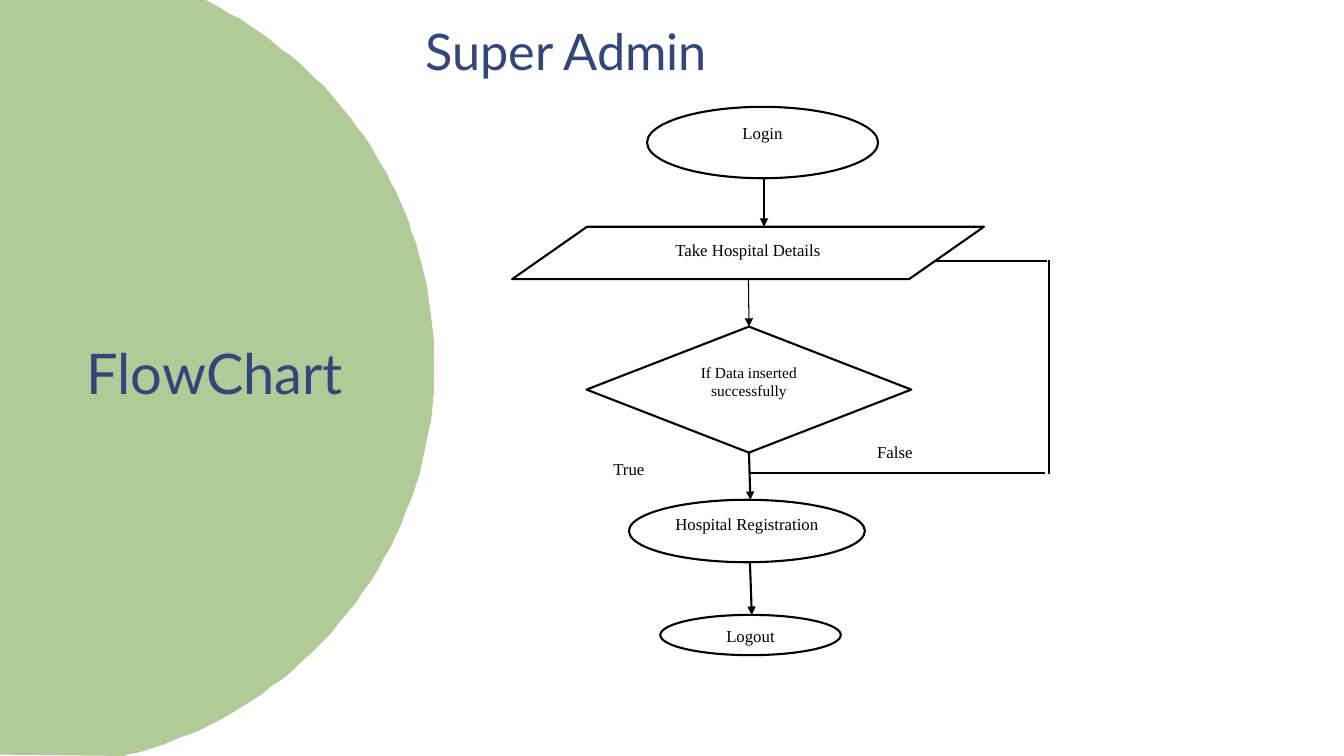
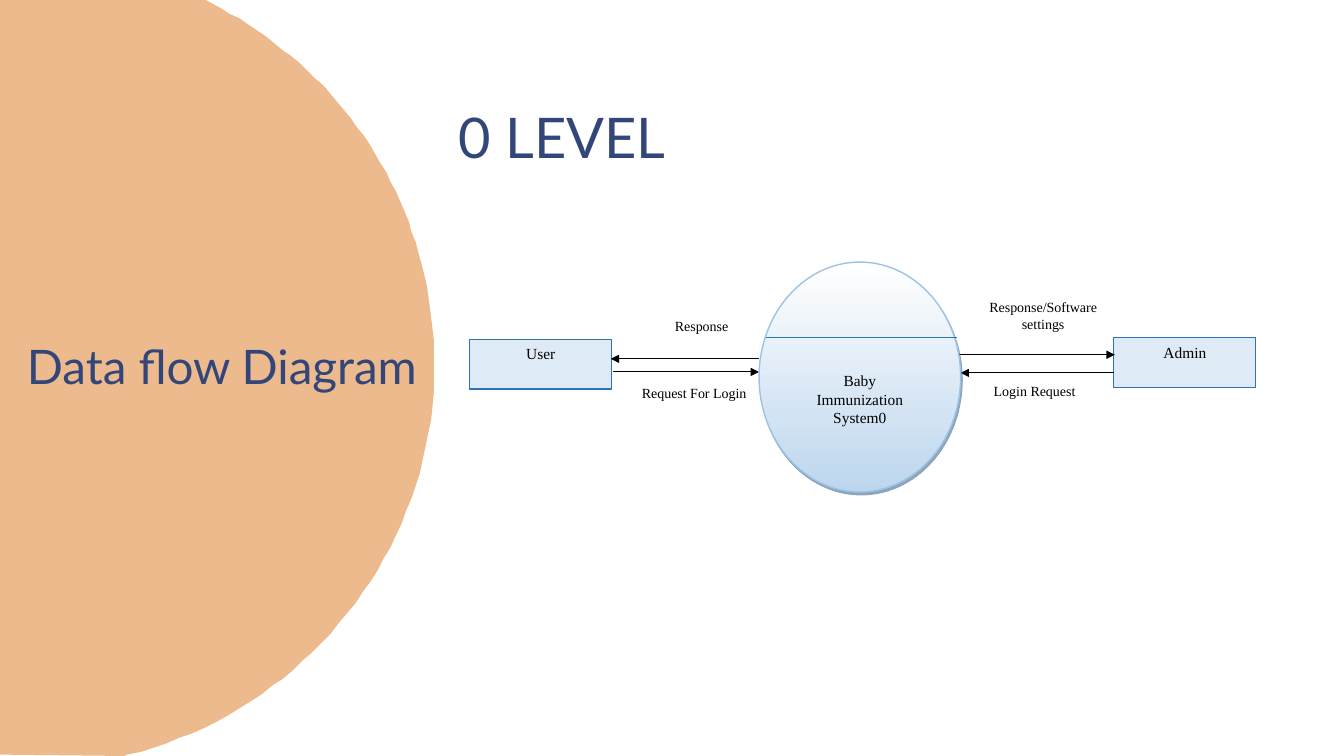
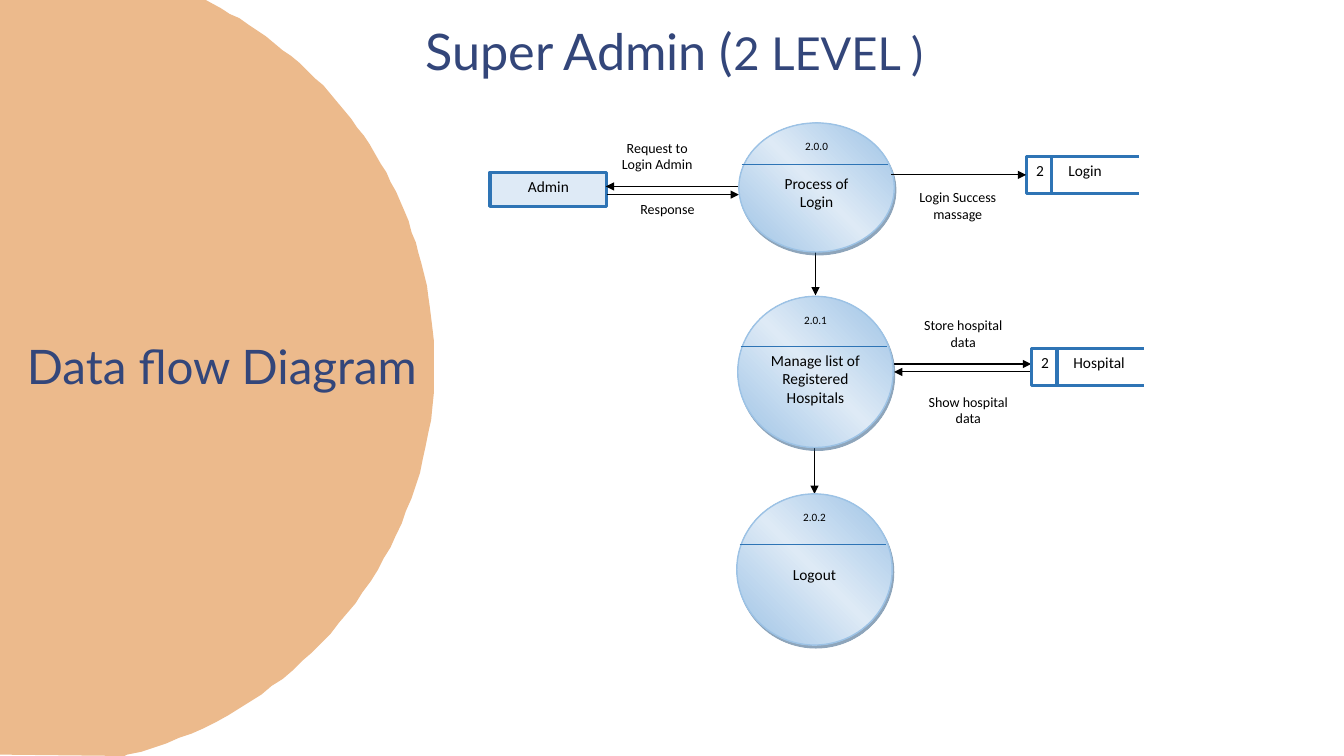
from lxml.etree import SubElement
from pptx import Presentation
from pptx.dml.color import RGBColor
from pptx.enum.shapes import MSO_CONNECTOR, MSO_SHAPE
from pptx.enum.text import MSO_ANCHOR, MSO_AUTO_SIZE, PP_ALIGN
from pptx.oxml.ns import qn
from pptx.util import Pt

NAVY = RGBColor(0x33, 0x46, 0x7A)
GREEN = RGBColor(0xB0, 0xCA, 0x98)
ORANGE = RGBColor(0xEC, 0xBA, 0x8C)
BLACK = RGBColor(0x00, 0x00, 0x00)
WHITE = RGBColor(0xFF, 0xFF, 0xFF)
BLUE = RGBColor(0x2E, 0x74, 0xB5)
SKY = RGBColor(0x9C, 0xC2, 0xE5)
PALE = RGBColor(0xDE, 0xEA, 0xF6)
MIST = RGBColor(0xBD, 0xD6, 0xEE)
SHADE = RGBColor(0x1F, 0x4D, 0x78)

HEADING_FONT = "Lato"
SERIF = "Times New Roman"
SANS = "Calibri"

STYLES = {
    "terminal": {"preset": MSO_SHAPE.OVAL, "line": BLACK, "width": 1.5, "size": 12, "margin": 6},
    "decision": {"preset": MSO_SHAPE.DIAMOND, "line": BLACK, "width": 1.5, "size": 11},
    "input": {"preset": MSO_SHAPE.PARALLELOGRAM, "line": BLACK, "width": 1.5, "size": 12, "slant": 1.43},
    "branch": {"size": 12, "fill": None},
    "label": {"size": 10},
    "left label": {"size": 10, "align": PP_ALIGN.LEFT},
    "thin entity": {"fill": PALE, "line": BLUE, "width": 0.75, "size": 11},
    "entity": {"fill": PALE, "line": BLUE, "width": 1, "size": 11},
    "thick entity": {"fill": PALE, "line": BLUE, "width": 2.25, "size": 11},
    "system": {"preset": MSO_SHAPE.OVAL, "line": SKY, "width": 1, "size": 11, "top": 54,
               "stops": [(0, WHITE), (100, MIST)], "angle": 270},
    "process": {"preset": MSO_SHAPE.OVAL, "line": SKY, "width": 1, "size": 11, "margin": 4,
                "stops": [(0, SKY), (50, PALE), (100, SKY)], "angle": 45},
    "number": {"size": 8, "fill": None},
    "store": {"preset": MSO_SHAPE.FLOWCHART_PROCESS, "line": BLUE, "width": 2.25, "size": 11,
              "align": PP_ALIGN.LEFT, "tab": 23},
    "store end": {"preset": MSO_SHAPE.FLOWCHART_PROCESS},
}

LINES = {
    "flow arrow": (BLACK, 1.5, True),
    "flow line": (BLACK, 1.5, False),
    "arrow": (BLACK, 0.75, True),
    "divider": (BLUE, 0.75, False),
    "store divider": (BLUE, 2.25, False),
}

FLOWCHART = [
    ("terminal", "Login", (462.2, 76.3, 165, 51)),
    ("flow arrow", (545.8, 127.4, 545.8, 162)),
    ("terminal", "Hospital Registration", (449.3, 357, 168.5, 44.6)),
    ("terminal", "Logout", (471.6, 439.2, 129, 28.8)),
    ("flow arrow", (535.7, 401.8, 537, 439.2)),
    ("decision", "If Data inserted successfully", (419, 233.3, 232, 90)),
    ("flow arrow", (535, 323.3, 536, 357), ("If Data inserted successfully", 2), None),
    ("flow arrow", (748, 186.5, 648.7, 186.5)),
    ("flow line", (535.7, 337.7, 746.6, 337.7)),
    ("flow line", (749.5, 185.8, 749.5, 338.4)),
    ("branch", "True", (419, 324, 60.5, 18.7)),
    ("label", "", None),
    ("arrow", (534.6, 198, 535, 233.3), None, ("If Data inserted successfully", 0)),
    ("input", "Take Hospital Details", (365.8, 162, 337, 37.4)),
]
FLOWCHART[11] = ("branch", "False", (609, 311.8, 60.5, 18.7))

LEVEL_0 = [
    ("label", "Response/Software settings", (689, 209.5, 112.3, 49)),
    ("label", "Login Request", (689, 270, 100, 34.6)),
    ("thin entity", "Admin", (795.6, 241.2, 101.5, 35.3)),
    ("entity", "User", (335.5, 242.6, 101.5, 35.3)),
    ("arrow", (542.2, 256.3, 436.3, 256.3)),
    ("arrow", (437.8, 265.7, 542.2, 265.7)),
    ("arrow", (795.6, 266.4, 686.2, 266.4)),
    ("left label", "Request For Login", (451.4, 271.4, 102.2, 33)),
    ("label", "Response", (449.3, 223.2, 103.7, 30.2)),
    ("arrow", (683.3, 253.4, 796.3, 253.4)),
    ("system", "Baby Immunization System0", (542.2, 187.2, 144, 164.2)),
    ("divider", (547.2, 241.2, 683.3, 241.2)),
]

LEVEL_2 = [
    ("arrow", (582.5, 179.3, 582.5, 211)),
    ("arrow", (638.6, 260, 736.6, 260)),
    ("label", "Request to Login Admin", (432.7, 95.8, 73.4, 34.6)),
    ("thick entity", "Admin", (350, 123, 83.5, 24.5)),
    ("arrow", (527.8, 133.2, 432.7, 133.2)),
    ("arrow", (433.4, 139, 527.8, 139)),
    ("label", "Login Success massage", (646.6, 131, 75, 33.8)),
    ("arrow", (736.6, 265.7, 638.6, 265.7)),
    ("label", "Store hospital data", (646.6, 222.5, 82.8, 31.7)),
    ("label", "Show hospital data", (650.2, 277.2, 82.8, 31.7)),
    ("label", "Response", (441.4, 139.7, 70.6, 23)),
    ("arrow", (581.8, 309, 581.8, 352.8)),
    ("process", "Process of\nLogin", (527.8, 87.8, 111, 92.2), "2.0.0", 30, 23),
    ("process", "Manage list of Registered Hospitals", (527, 211.7, 111, 108), "2.0.1", 36, 23),
    ("process", "Logout", (526.3, 352.8, 111, 108), "2.0.2", 36, 35),
    ("store", "2\tLogin", (733, 111.6, 85, 26.6)),
    ("store", "2\tHospital", (736.6, 249, 85, 26.6)),
    ("arrow", (636.5, 124.9, 733, 124.9), None, ("2\tLogin", 1)),
]

DATA_FLOW = ("Data flow Diagram", (12.2, 244.8, 312.5, 51), 34, 0.8)
SLIDES = [
    {"title": [("Super Admin", 36)], "title_box": (296.6, 13, 252.7, 51), "band": GREEN,
     "side": ("FlowChart", (54.7, 243.4, 238.3, 51), 40, 0.9), "font": SERIF, "parts": FLOWCHART},
    {"title": [("0 LEVEL", 40)], "title_box": (320.4, 74.9, 565.2, 51), "band": ORANGE,
     "side": DATA_FLOW, "font": SERIF, "parts": LEVEL_0},
    {"title": [("Super Admin (", 36), ("2 LEVEL )", 32.4)], "title_box": (296.6, 13, 565.2, 51),
     "band": ORANGE, "side": DATA_FLOW, "font": SANS, "parts": LEVEL_2},
]

BAND_EDGE = [(147, 0), (-4.3, 0), (-6.5, 538.6), (89.3, 540)]
BAND_CURVES = [
    ((91.4, 539.3), (217.4, 507.6), (310.3, 394.6), (310.3, 260)),
    ((310.3, 260), (310.3, 149.8), (248.4, 54.7), (157.7, 5.8)),
]
CURVE_STEPS = 40


def set_all(target, values):
    for name, value in values.items():
        setattr(target, name, value)


def place(shape, box):
    set_all(shape, dict(zip(("left", "top", "width", "height"), map(Pt, box))))


def add_run(paragraph, text, size, font, color):
    run = paragraph.add_run()
    run.text = text
    set_all(run.font, {"name": font, "size": Pt(size)})
    run.font.color.rgb = color


def write_heading(shape, runs, spacing, anchor):
    frame = shape.text_frame
    set_all(frame, {"word_wrap": True, "auto_size": MSO_AUTO_SIZE.NONE, "vertical_anchor": anchor})
    paragraph = frame.paragraphs[0]
    set_all(paragraph, {"alignment": PP_ALIGN.LEFT, "line_spacing": spacing})
    for text, size in runs:
        add_run(paragraph, text, size, HEADING_FONT, NAVY)


def curve_point(points, t):
    weights = ((1 - t) ** 3, 3 * t * (1 - t) ** 2, 3 * t * t * (1 - t), t ** 3)
    return tuple(sum(w * p[axis] for w, p in zip(weights, points)) for axis in (0, 1))


def draw_band(slide, color):
    outline = BAND_EDGE + [curve_point(curve, step / CURVE_STEPS)
                           for curve in BAND_CURVES for step in range(CURVE_STEPS + 1)]
    builder = slide.shapes.build_freeform(*outline[0], scale=Pt(1))
    builder.add_line_segments(outline[1:], close=True)
    band = builder.convert_to_shape()
    band.shadow.inherit = False
    band.fill.solid()
    band.fill.fore_color.rgb = color
    band.line.fill.background()


def add_color(parent, color):
    return SubElement(parent, qn("a:srgbClr"), val=str(color))


def shade_bubble(shape, stops, angle):
    shape.fill.gradient()
    shape.fill.gradient_angle = angle
    properties = shape._element.spPr
    stop_list = properties.find(".//" + qn("a:gsLst"))
    for stop in list(stop_list):
        stop_list.remove(stop)
    for position, color in stops:
        add_color(SubElement(stop_list, qn("a:gs"), pos=str(position * 1000)), color)
    shadow = SubElement(properties.find(qn("a:effectLst")), qn("a:outerShdw"),
                        dist=str(Pt(2.2)), dir="3780000", algn="ctr", rotWithShape="0")
    SubElement(add_color(shadow, SHADE), qn("a:alpha"), val="50000")


def draw_node(slide, kind, text, box, font, top=None):
    style = STYLES[kind]
    shape = slide.shapes.add_shape(style.get("preset", MSO_SHAPE.RECTANGLE), *map(Pt, box))
    if "slant" in style:
        shape.adjustments[0] = style["slant"]
    if "line" in style:
        shape.line.color.rgb = style["line"]
        shape.line.width = Pt(style["width"])
    else:
        shape.line.fill.background()
    shape.shadow.inherit = False
    fill = style.get("fill", WHITE)
    if "stops" in style:
        shade_bubble(shape, style["stops"], style["angle"])
    elif fill is None:
        shape.fill.background()
    else:
        shape.fill.solid()
        shape.fill.fore_color.rgb = fill
    if not text:
        return shape
    frame = shape.text_frame
    margin = Pt(style.get("margin", 7.2))
    set_all(frame, {"word_wrap": True, "vertical_anchor": MSO_ANCHOR.TOP,
                    "margin_left": margin, "margin_right": margin,
                    "margin_top": Pt(top or style.get("top", 3.6))})
    for index, line in enumerate(text.split("\n")):
        paragraph = frame.add_paragraph() if index else frame.paragraphs[0]
        paragraph.alignment = style.get("align", PP_ALIGN.CENTER)
        if "tab" in style:
            tabs = SubElement(paragraph._p.get_or_add_pPr(), qn("a:tabLst"))
            SubElement(tabs, qn("a:tab"), pos=str(Pt(style["tab"])), algn="l")
        add_run(paragraph, line, style["size"], font, BLACK)
    return shape


def draw_line(slide, kind, ends, nodes, begin=None, end=None):
    color, width, arrow = LINES[kind]
    connector = slide.shapes.add_connector(MSO_CONNECTOR.STRAIGHT, *map(Pt, ends))
    connector.line.color.rgb = color
    connector.line.width = Pt(width)
    properties = connector._element.spPr
    if arrow:
        SubElement(properties.find(qn("a:ln")), qn("a:tailEnd"), type="triangle")
    SubElement(properties, qn("a:effectLst"))
    if begin:
        connector.begin_connect(nodes[begin[0]], begin[1])
    if end:
        connector.end_connect(nodes[end[0]], end[1])


def draw_parts(slide, parts, font):
    nodes = {}
    for kind, *values in parts:
        if kind in LINES:
            ends, *joins = values
            draw_line(slide, kind, ends, nodes, *joins)
            continue
        text, box, *extra = values
        left, top, width, height = box
        if kind == "process":
            number, divider, text_top = extra
            nodes[text] = draw_node(slide, kind, text, box, font, text_top)
            y = top + divider
            draw_line(slide, "divider", (left + 2, y, left + 106.5, y), nodes)
            draw_node(slide, "number", number, (left + 31, top + 8.5, 49, 25), font)
            continue
        nodes[text] = draw_node(slide, kind, text, box, font)
        if kind == "store":
            x = left + 18.4
            draw_line(slide, "store divider", (x, top, x, top + height), nodes)
            draw_node(slide, "store end", "", (left + 80.6, top - 4.7, 31.7, 39.6), font)


def main():
    presentation = Presentation()
    presentation.slide_width, presentation.slide_height = Pt(960), Pt(540)
    for content in SLIDES:
        slide = presentation.slides.add_slide(presentation.slide_layouts[5])
        title = slide.shapes.title
        place(title, content["title_box"])
        write_heading(title, content["title"], 0.9, MSO_ANCHOR.MIDDLE)
        draw_band(slide, content["band"])
        text, box, size, spacing = content["side"]
        side = slide.shapes.add_textbox(*map(Pt, box))
        write_heading(side, [(text, size)], spacing, MSO_ANCHOR.TOP)
        draw_parts(slide, content["parts"], content["font"])
    presentation.save("out.pptx")


if __name__ == "__main__":
    main()
